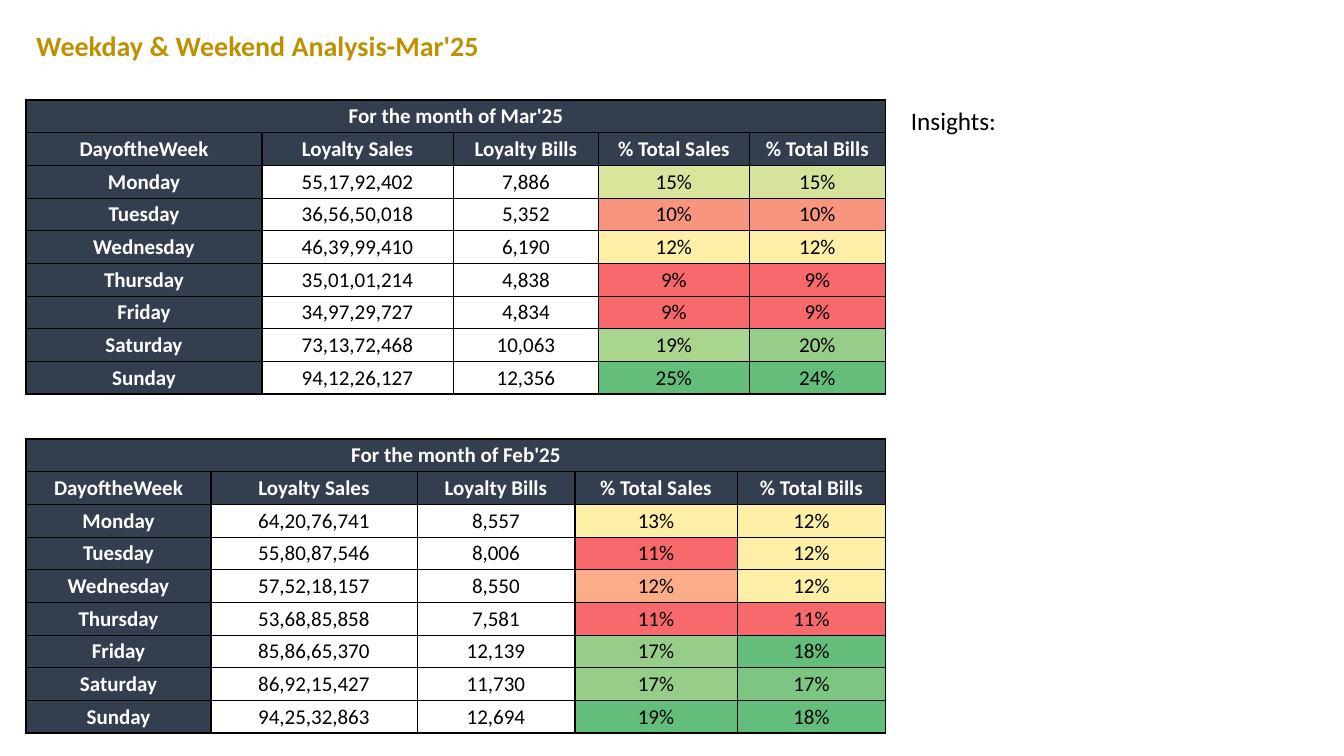
from lxml.etree import SubElement
from pptx import Presentation
from pptx.dml.color import RGBColor
from pptx.enum.text import MSO_ANCHOR as ANCHOR, MSO_AUTO_SIZE as AUTO, PP_ALIGN as ALIGN
from pptx.oxml.ns import qn
from pptx.util import Emu, Pt

PX = 914400 / 100.8
NAVY, WHITE, BLACK, GOLD = "333F4F", "FFFFFF", "000000", "BF9000"
RED, CORAL, ORANGE, YELLOW = "F8696B", "F9957E", "FBAD89", "FDF0A6"
PALE, LIME, LIGHT, GRASS = "DAE59C", "D6E39B", "AAD58F", "96CE89"
MINT, GREEN = "7CC682", "63BE7B"
HEADINGS = ["DayoftheWeek", "Loyalty Sales", "Loyalty Bills", "% Total Sales", "% Total Bills"]

# month, top, column widths, rows of (day, sales, bills, sales share, bills share, two share fills)
MONTHS = [
    ("Feb'25", 439, [185, 206, 158, 162, 149], [
        ("Monday", "64,20,76,741", "8,557", "13%", "12%", YELLOW, YELLOW),
        ("Tuesday", "55,80,87,546", "8,006", "11%", "12%", RED, YELLOW),
        ("Wednesday", "57,52,18,157", "8,550", "12%", "12%", ORANGE, YELLOW),
        ("Thursday", "53,68,85,858", "7,581", "11%", "11%", RED, RED),
        ("Friday", "85,86,65,370", "12,139", "17%", "18%", GRASS, GREEN),
        ("Saturday", "86,92,15,427", "11,730", "17%", "17%", GRASS, MINT),
        ("Sunday", "94,25,32,863", "12,694", "19%", "18%", GREEN, GREEN),
    ]),
    ("Mar'25", 100, [236, 191, 146, 150, 137], [
        ("Monday", "55,17,92,402", "7,886", "15%", "15%", PALE, LIME),
        ("Tuesday", "36,56,50,018", "5,352", "10%", "10%", CORAL, CORAL),
        ("Wednesday", "46,39,99,410", "6,190", "12%", "12%", YELLOW, YELLOW),
        ("Thursday", "35,01,01,214", "4,838", "9%", "9%", RED, RED),
        ("Friday", "34,97,29,727", "4,834", "9%", "9%", RED, RED),
        ("Saturday", "73,13,72,468", "10,063", "19%", "20%", LIGHT, GRASS),
        ("Sunday", "94,12,26,127", "12,356", "25%", "24%", GREEN, GREEN),
    ]),
]


def px(n):
    return Emu(round(n * PX))


def add_run(p, text, size, color, bold=False):
    r = p.add_run()
    r.text = text
    r.font.name, r.font.size, r.font.bold = "Calibri", Pt(size), bold
    r.font.color.rgb = RGBColor.from_string(color)


prs = Presentation()
prs.slide_width, prs.slide_height = px(1344), px(756)
s = prs.slides.add_slide(prs.slide_layouts[5])

title = s.shapes.title
title.left, title.top, title.width, title.height = px(26), px(23), px(1280), px(44)
insights = s.shapes.add_textbox(px(901), px(100), px(417), px(40))
for box, text, size, color, bold in [
    (title, "Weekday & Weekend Analysis-Mar'25", 20, GOLD, True),
    (insights, "Insights:", 18, BLACK, False),
]:
    tf = box.text_frame
    tf.word_wrap, tf.auto_size, tf.vertical_anchor = True, AUTO.SHAPE_TO_FIT_TEXT, ANCHOR.TOP
    tf.paragraphs[0].alignment = ALIGN.LEFT
    add_run(tf.paragraphs[0], text, size, color, bold)

for month, top, widths, days in MONTHS:
    grid = [[f"For the month of {month}", "", "", "", ""], HEADINGS, *days]
    last = len(grid) - 1
    table = s.shapes.add_table(len(grid), 5, px(26), px(top), px(860), px(294)).table
    table.first_row = table.horz_banding = False
    for column, width in zip(table.columns, widths):
        column.width = px(width)

    for i, row in enumerate(grid):
        for j, text in enumerate(row[:5]):
            cell = table.cell(i, j)
            cell.margin_left = cell.margin_top = cell.margin_right = px(1)
            cell.margin_bottom = 0
            cell.vertical_anchor = ANCHOR.MIDDLE
            p = cell.text_frame.paragraphs[0]
            p.alignment = ALIGN.CENTER
            heading = i < 2 or j == 0
            if text:
                add_run(p, text, 15, WHITE if heading else BLACK, heading)

            # Thick lines frame the table, the header and each pair of columns
            thick = {"a:lnL": j in (0, 1, 3), "a:lnR": j in (0, 2, 4),
                     "a:lnT": i < 2, "a:lnB": i in (0, last)}
            tcPr = cell._tc.get_or_add_tcPr()
            for side, is_thick in thick.items():
                ln = SubElement(tcPr, qn(side), w=str(Pt(1 if is_thick else 0.5)))
                SubElement(SubElement(ln, qn("a:solidFill")), qn("a:srgbClr"), val=BLACK)

            if heading or j > 2:
                cell.fill.solid()
                cell.fill.fore_color.rgb = RGBColor.from_string(NAVY if heading else row[j + 2])
            else:
                cell.fill.background()
    table.cell(0, 0).merge(table.cell(0, 4))

prs.save("out.pptx")
